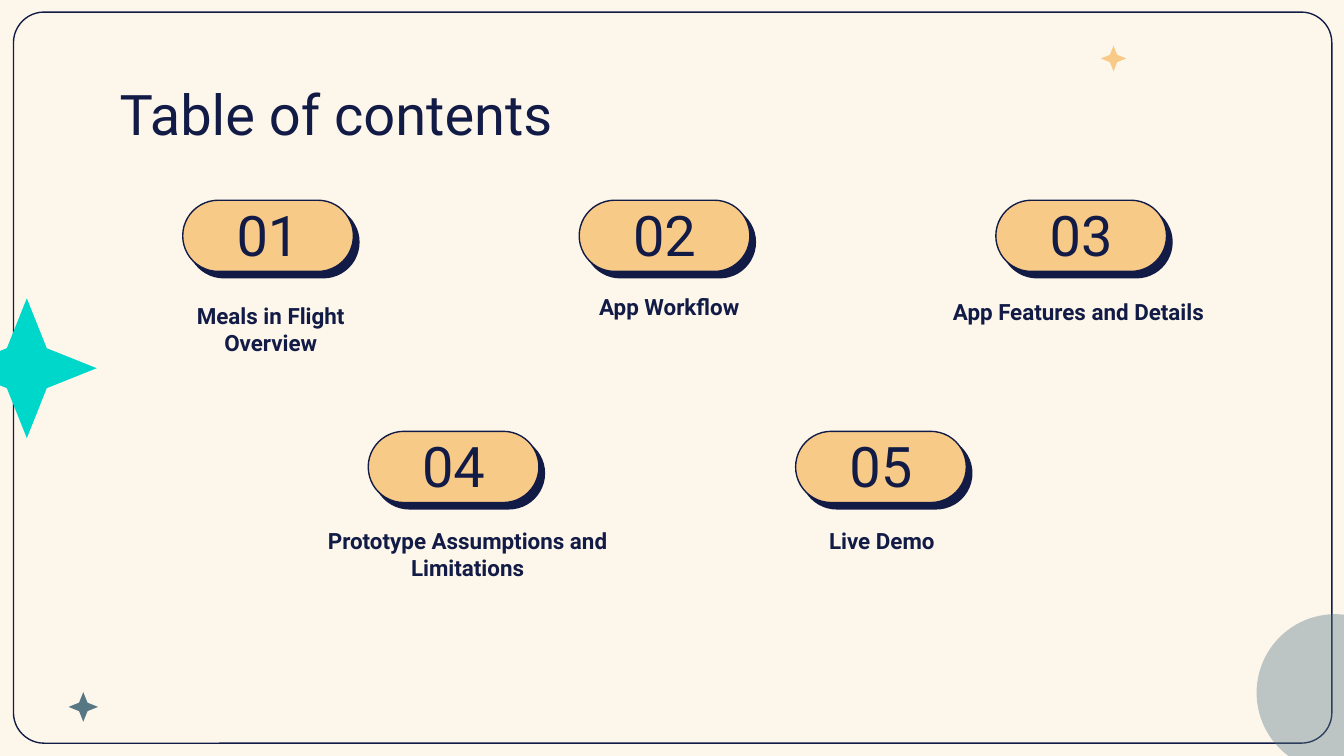
from dataclasses import dataclass

from lxml.etree import SubElement
from pptx import Presentation
from pptx.dml.color import RGBColor
from pptx.enum.shapes import MSO_SHAPE
from pptx.enum.text import MSO_ANCHOR, PP_ALIGN
from pptx.oxml.ns import qn
from pptx.util import Inches, Pt


@dataclass(frozen=True)
class Theme:
    font: str = "Roboto"
    cream: str = "FDF6EB"
    navy: str = "121B46"
    sand: str = "F8CA88"
    teal: str = "00D7CB"
    slate: str = "577785"
    heading: int = 30
    label: int = 12
    outline: float = 0.75


THEME = Theme()
PILL_W, PILL_H = 1.27, 0.53
TOP_ROW, BOTTOM_ROW = 1.49, 3.21
NUMBER_DROP, NUMBER_H = 0.11, 0.49

STARS = [
    (-0.32, 2.22, 1.04, THEME.teal),
    (0.51, 5.15, 0.22, THEME.slate),
    (8.19, 0.34, 0.19, THEME.sand),
]

SECTIONS = [
    (1.36, TOP_ROW, "Meals in Flight Overview", (1.06, 2.15, 1.91), PP_ALIGN.CENTER),
    (4.31, TOP_ROW, "App Workflow", (3.81, 2.08, 2.34), PP_ALIGN.CENTER),
    (7.41, TOP_ROW, "App Features and Details", (6.95, 2.12, 2.15), PP_ALIGN.CENTER),
    (2.74, BOTTOM_ROW, "Prototype Assumptions and Limitations", (2.31, 3.82, 2.34), PP_ALIGN.CENTER),
    (5.92, BOTTOM_ROW, "Live Demo", (6.07, 3.82, 1.12), PP_ALIGN.LEFT),
]


def rgb(color):
    return RGBColor.from_string(color)


def add_shape(s, kind, box, fill=None, line=None, adj=None):
    sp = s.shapes.add_shape(kind, *map(Inches, box))
    sp.shadow.inherit = False
    if adj is not None:
        sp.adjustments[0] = adj
    if fill:
        sp.fill.solid()
        sp.fill.fore_color.rgb = rgb(fill)
    else:
        sp.fill.background()
    if line:
        sp.line.color.rgb = rgb(line)
        sp.line.width = Pt(THEME.outline)
    else:
        sp.line.fill.background()
    return sp


def set_alpha(sp, percent):
    color = sp._element.spPr.find(qn("a:solidFill"))[0]
    SubElement(color, qn("a:alpha"), val=str(percent * 1000))


def add_hard_shadow(sp, color, distance, angle):
    effects = sp._element.spPr.find(qn("a:effectLst"))
    shadow = SubElement(effects, qn("a:outerShdw"), blurRad="0", dist=str(Pt(distance)),
                        dir=str(angle * 60000), algn="bl", rotWithShape="0")
    SubElement(shadow, qn("a:srgbClr"), val=color)


def write_text(sp, text, size, align=PP_ALIGN.LEFT, anchor=MSO_ANCHOR.TOP, bold=False):
    tf = sp.text_frame
    tf.word_wrap = True
    tf.vertical_anchor = anchor
    tf.margin_left = tf.margin_right = tf.margin_top = tf.margin_bottom = Inches(0.1)
    p = tf.paragraphs[0]
    p.text = text
    p.alignment = align
    p.font.name = THEME.font
    p.font.size = Pt(size)
    p.font.bold = bold
    p.font.color.rgb = rgb(THEME.navy)


def add_title(s, text):
    sp = s.shapes.title
    sp.left, sp.top, sp.width, sp.height = map(Inches, (0.79, 0.49, 8.43, 0.63))
    write_text(sp, text, THEME.heading)


def add_text(s, box, text, size, **style):
    write_text(s.shapes.add_textbox(*map(Inches, box)), text, size, **style)


def add_decor(s):
    add_shape(s, MSO_SHAPE.ROUNDED_RECTANGLE, (0.1, 0.09, 9.81, 5.44), line=THEME.navy, adj=0.042)
    circle = add_shape(s, MSO_SHAPE.OVAL, (9.35, 4.57, 1.17, 1.17), THEME.slate)
    set_alpha(circle, 38)
    for x, y, size, color in STARS:
        add_shape(s, MSO_SHAPE.STAR_4_POINT, (x, y, size, size), color, adj=0.202)


def add_section(s, number, x, y, label, label_box, align):
    pill = add_shape(s, MSO_SHAPE.ROUNDED_RECTANGLE, (x, y, PILL_W, PILL_H),
                     THEME.sand, THEME.navy, adj=0.5)
    add_hard_shadow(pill, THEME.navy, 4.5, 49)
    add_text(s, (x, y + NUMBER_DROP, PILL_W, NUMBER_H), f"{number:02}", THEME.heading,
             align=PP_ALIGN.CENTER, anchor=MSO_ANCHOR.BOTTOM)
    add_text(s, (*label_box, 0.53), label, THEME.label, align=align, bold=True)


def main():
    prs = Presentation()
    prs.slide_width = Inches(10)
    prs.slide_height = prs.slide_width * 9 // 16
    s = prs.slides.add_slide(prs.slide_layouts[5])
    s.background.fill.solid()
    s.background.fill.fore_color.rgb = rgb(THEME.cream)
    add_decor(s)
    add_title(s, "Table of contents")
    for number, section in enumerate(SECTIONS, 1):
        add_section(s, number, *section)
    prs.save("out.pptx")


if __name__ == "__main__":
    main()
